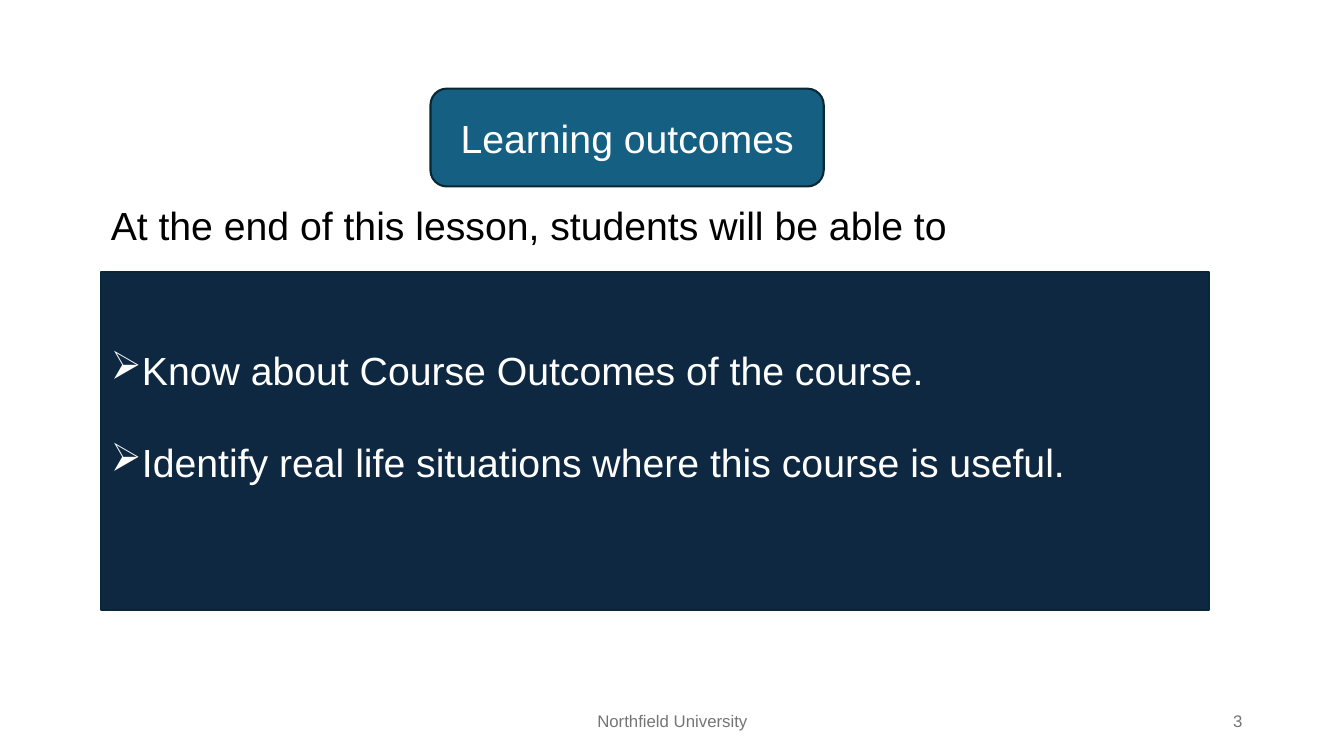
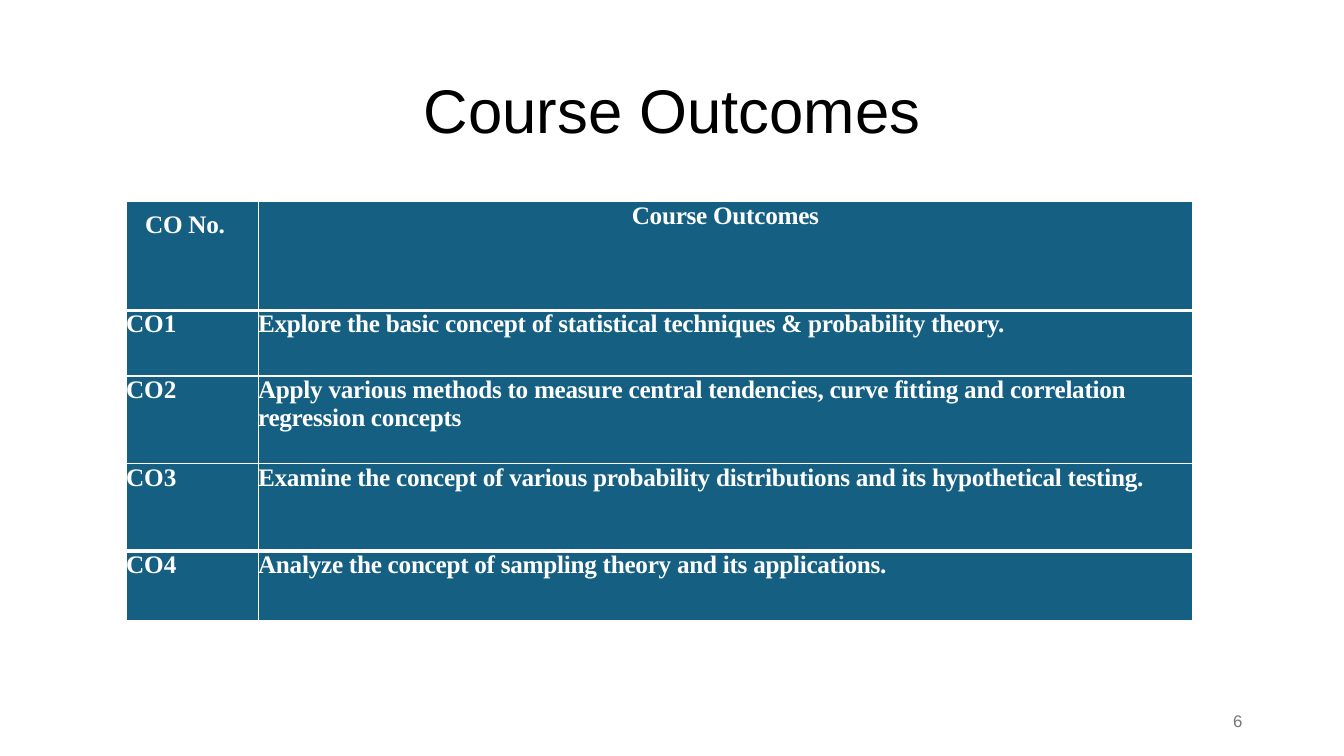
from lxml import etree
from pptx import Presentation
from pptx.dml.color import RGBColor
from pptx.enum.shapes import MSO_SHAPE
from pptx.enum.text import MSO_ANCHOR, PP_ALIGN
from pptx.oxml.ns import qn
from pptx.util import Emu, Pt

LEFT, CENTER, RIGHT = PP_ALIGN.LEFT, PP_ALIGN.CENTER, PP_ALIGN.RIGHT
TOP, MIDDLE = MSO_ANCHOR.TOP, MSO_ANCHOR.MIDDLE
RECT, ROUNDED = MSO_SHAPE.RECTANGLE, MSO_SHAPE.ROUNDED_RECTANGLE

TEAL = RGBColor(0x15, 0x60, 0x82)
NAVY = RGBColor(0x0E, 0x28, 0x41)
EDGE = RGBColor(0x08, 0x28, 0x36)
GREY = RGBColor(0x75, 0x75, 0x75)
BLACK = RGBColor(0, 0, 0)
WHITE = RGBColor(255, 255, 255)
SANS, SERIF = "Arial", "Times New Roman"

EMU_PER_PX = 9144  # 100 px to the inch
PAGE_WIDTH, PAGE_HEIGHT = 1333, 750

FOOTER = "Northfield University"
HEADING = "Learning outcomes"
INTRO = "At the end of this lesson, students will be able to"
GOALS = [
    "Know about Course Outcomes of the course.",
    "Identify real life situations where this course is useful.",
]
TITLE = "Course Outcomes"
OUTCOMES = [
    ("CO No.", "Course Outcomes"),
    ("CO1", "Explore the basic concept of statistical techniques & probability theory."),
    ("CO2", "Apply various methods to measure central tendencies, curve fitting "
            "and correlation regression concepts"),
    ("CO3", "Examine the concept of various probability distributions "
            "and its hypothetical testing."),
    ("CO4", "Analyze the concept of sampling theory and its applications."),
]
COLUMN_WIDTHS = [131, 927]
ROW_HEIGHTS = [108, 65, 87, 87, 69]
THICK_RULES = {1, 4}  # horizontal rules counted from the top of the table


def px(length):
    return Emu(length * EMU_PER_PX)


def style(para, size, color, align=LEFT, font=SANS, bold=False):
    para.alignment = align
    para.font.name, para.font.size = font, Pt(size)
    para.font.bold, para.font.color.rgb = bold, color


def write(shape, lines, size, color, align=LEFT, anchor=MIDDLE):
    frame = shape.text_frame
    frame.word_wrap = True
    frame.vertical_anchor = anchor
    frame.text = "\n".join(lines)
    for para in frame.paragraphs:
        style(para, size, color, align)
    return frame


def add_text(page, area, text, size, color, align=LEFT, anchor=MIDDLE):
    box = page.shapes.add_textbox(*map(px, area))
    return write(box, [text], size, color, align, anchor)


def add_panel(page, kind, area, fill):
    panel = page.shapes.add_shape(kind, *map(px, area))
    panel.shadow.inherit = False
    panel.fill.solid()
    panel.fill.fore_color.rgb = fill
    panel.line.color.rgb = EDGE
    panel.line.width = Pt(1.5)
    return panel


def add_arrow_bullet(para, indent):
    properties = para._p.get_or_add_pPr()
    properties.set("marL", str(px(indent)))
    properties.set("indent", str(-px(indent)))
    etree.SubElement(properties, qn("a:buFont"), typeface="Wingdings", charset="2")
    etree.SubElement(properties, qn("a:buChar"), char="Ø")


def add_cell_borders(cell, row):
    properties = cell._tc.get_or_add_tcPr()
    widths = {"L": 1, "R": 1,
              "T": 3 if row in THICK_RULES else 1,
              "B": 3 if row + 1 in THICK_RULES else 1}
    for side, width in widths.items():
        line = etree.SubElement(properties, qn(f"a:ln{side}"), w=str(Pt(width)))
        fill = etree.SubElement(line, qn("a:solidFill"))
        etree.SubElement(fill, qn("a:srgbClr"), val=str(WHITE))


def fill_cell(cell, text, row, column):
    add_cell_borders(cell, row)
    cell.fill.solid()
    cell.fill.fore_color.rgb = TEAL
    corner = row == 0 and column == 0
    cell.margin_left, cell.margin_top = (px(19), px(9)) if corner else (0, 0)
    cell.margin_right = cell.margin_bottom = 0
    cell.text = text
    para = cell.text_frame.paragraphs[0]
    style(para, 18, WHITE, CENTER if row == 0 and column == 1 else LEFT, SERIF, True)
    if row == 0 or column == 1:
        para.runs[0].font._element.set("spc", "-20")


def add_page(deck, number):
    page = deck.slides.add_slide(deck.slide_layouts[6])
    add_text(page, (942, 695, 300, 40), str(number), 12, GREY, RIGHT)
    return page


def build_learning_page(deck):
    page = add_page(deck, 3)
    add_text(page, (442, 695, 450, 40), FOOTER, 12, GREY, CENTER)
    intro = add_text(page, (100, 200, 1099, 60), INTRO, 28, BLACK, anchor=TOP)
    intro.paragraphs[0].line_spacing = 0.9
    heading = add_panel(page, ROUNDED, (427, 88, 390, 97), TEAL)
    write(heading, [HEADING], 28, WHITE, CENTER)
    panel = add_panel(page, RECT, (100, 270, 1099, 335), NAVY)
    goals = write(panel, GOALS, 28, WHITE, anchor=TOP)
    goals.margin_top = px(74)
    for para in goals.paragraphs:
        para.space_after = Pt(32)
        add_arrow_bullet(para, 31)


def build_outcomes_page(deck):
    page = add_page(deck, 6)
    title = add_text(page, (92, 40, 1150, 145), TITLE, 44, BLACK, CENTER)
    title.paragraphs[0].line_spacing = 0.9
    area = (125, 200, sum(COLUMN_WIDTHS), sum(ROW_HEIGHTS))
    table = page.shapes.add_table(
        len(ROW_HEIGHTS), len(COLUMN_WIDTHS), *map(px, area)).table
    for column, width in zip(table.columns, COLUMN_WIDTHS):
        column.width = px(width)
    for row, height in zip(table.rows, ROW_HEIGHTS):
        row.height = px(height)
    for row, texts in enumerate(OUTCOMES):
        for column, text in enumerate(texts):
            fill_cell(table.cell(row, column), text, row, column)


def main():
    deck = Presentation()
    deck.slide_width, deck.slide_height = px(PAGE_WIDTH), px(PAGE_HEIGHT)
    build_learning_page(deck)
    build_outcomes_page(deck)
    deck.save("out.pptx")


if __name__ == "__main__":
    main()
